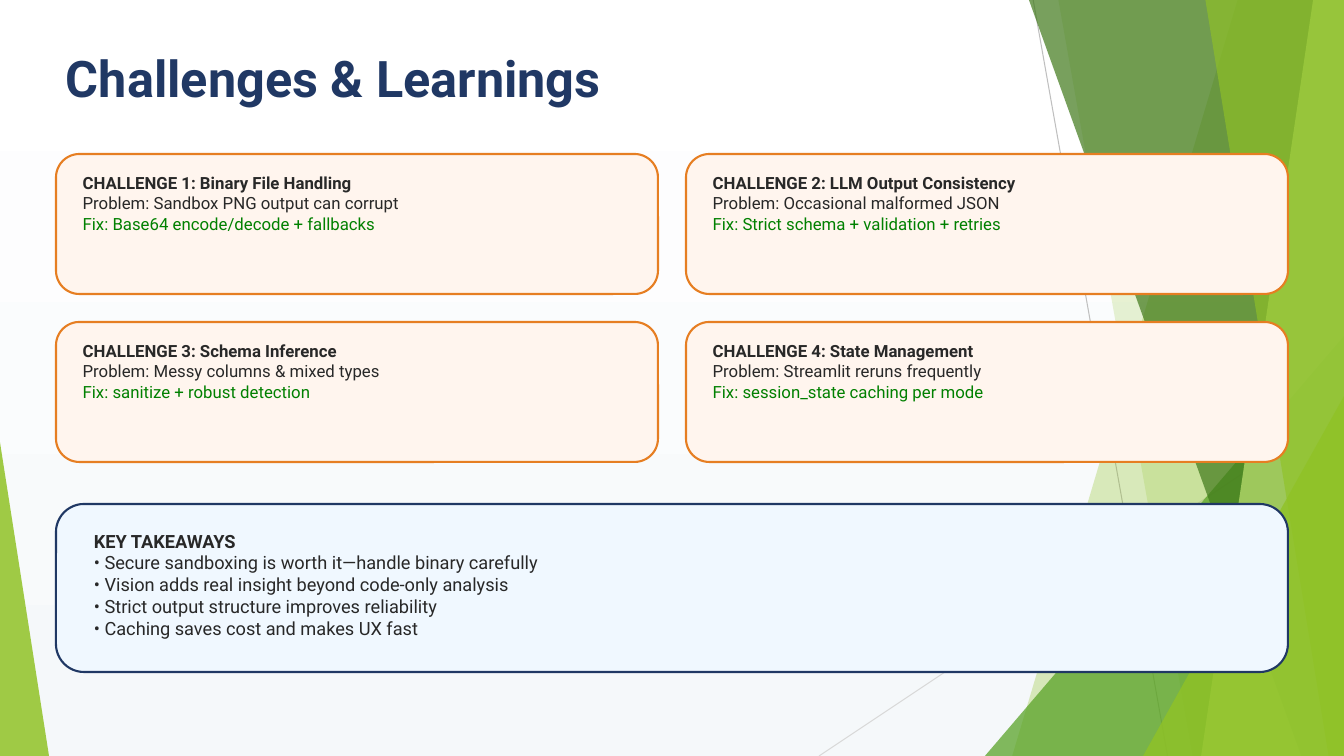
from lxml import etree
from pptx import Presentation
from pptx.dml.color import RGBColor
from pptx.enum.shapes import MSO_CONNECTOR, MSO_SHAPE
from pptx.oxml.ns import qn
from pptx.util import Pt

STRAIGHT = MSO_CONNECTOR.STRAIGHT
ROUNDED = MSO_SHAPE.ROUNDED_RECTANGLE
TRIANGLE = MSO_SHAPE.ISOSCELES_TRIANGLE

WHITE = RGBColor(0xFF, 0xFF, 0xFF)
MIST = RGBColor(0xF5, 0xF8, 0xFA)
NAVY = RGBColor(0x20, 0x38, 0x64)
INK = RGBColor(0x28, 0x28, 0x28)
FIX_GREEN = RGBColor(0x00, 0x80, 0x00)
ORANGE = RGBColor(0xE6, 0x7E, 0x22)
PEACH = RGBColor(0xFF, 0xF5, 0xEE)
ICE = RGBColor(0xF0, 0xF8, 0xFF)
LIME = RGBColor(0x90, 0xC2, 0x26)
LEAF = RGBColor(0x54, 0xA0, 0x21)
FOREST = RGBColor(0x3F, 0x78, 0x19)
PALE_LIME = RGBColor(0xC0, 0xE4, 0x74)
GREY = RGBColor(0xBF, 0xBF, 0xBF)
LIGHT_GREY = RGBColor(0xD9, 0xD9, 0xD9)

WIDTH, HEIGHT = 960, 540
MARGIN = 40
CONTENT_WIDTH = WIDTH - 2 * MARGIN
CARD_WIDTH, CARD_HEIGHT, CARD_GAP = 430, 100, 20
CARDS_TOP = 110

CHALLENGES = [
    ("Binary File Handling", "Sandbox PNG output can corrupt",
     "Base64 encode/decode + fallbacks"),
    ("LLM Output Consistency", "Occasional malformed JSON",
     "Strict schema + validation + retries"),
    ("Schema Inference", "Messy columns & mixed types",
     "sanitize + robust detection"),
    ("State Management", "Streamlit reruns frequently",
     "session_state caching per mode"),
]
TAKEAWAYS = [
    "Secure sandboxing is worth it—handle binary carefully",
    "Vision adds real insight beyond code-only analysis",
    "Strict output structure improves reliability",
    "Caching saves cost and makes UX fast",
]


class Painter:
    font_name = "Roboto"
    border_width = 1.5

    def __init__(self, page):
        self.page = page
        self.shapes = page.shapes

    def background(self, top_color, bottom_color):
        fill = self.page.background.fill
        fill.gradient()
        fill.gradient_angle = 270
        for stop, color, position in zip(
                fill.gradient_stops, (top_color, bottom_color), (0, 1)):
            stop.color.rgb = color
            stop.position = position

    def line(self, start, end, color):
        connector = self.shapes.add_connector(
            STRAIGHT, *(Pt(value) for value in (*start, *end)))
        connector.line.color.rgb = color
        connector.line.width = Pt(0.75)
        properties = connector._element.spPr
        etree.SubElement(properties, qn("a:effectLst"))

    def tint(self, shape, color, opacity):
        shape.shadow.inherit = False
        shape.fill.solid()
        shape.fill.fore_color.rgb = color
        shape.line.fill.background()
        color_node = shape._element.spPr.find(qn("a:solidFill"))[0]
        alpha = etree.SubElement(color_node, qn("a:alpha"))
        alpha.set("val", str(opacity * 1000))

    def facet(self, top_x, bottom_x, color, opacity):
        builder = self.shapes.build_freeform(Pt(top_x), Pt(0))
        builder.add_line_segments([
            (Pt(WIDTH), Pt(0)), (Pt(WIDTH), Pt(HEIGHT)),
            (Pt(bottom_x), Pt(HEIGHT))])
        self.tint(builder.convert_to_shape(), color, opacity)

    def corner(self, left, top, width, apex, color, opacity):
        shape = self.shapes.add_shape(
            TRIANGLE, Pt(left), Pt(top), Pt(width), Pt(HEIGHT - top))
        shape.adjustments[0] = apex
        self.tint(shape, color, opacity)

    def card(self, left, top, width, height, fill_color, border_color):
        shape = self.shapes.add_shape(
            ROUNDED, Pt(left), Pt(top), Pt(width), Pt(height))
        shape.shadow.inherit = False
        shape.fill.solid()
        shape.fill.fore_color.rgb = fill_color
        shape.line.color.rgb = border_color
        shape.line.width = Pt(self.border_width)

    def text(self, left, top, width, height, size, lines):
        box = self.shapes.add_textbox(Pt(left), Pt(top), Pt(width), Pt(height))
        frame = box.text_frame
        frame.word_wrap = True
        for index, (words, color, bold) in enumerate(lines):
            para = frame.add_paragraph() if index else frame.paragraphs[0]
            para.text = words
            para.font.name = self.font_name
            para.font.size = Pt(size)
            para.font.bold = bold
            para.font.color.rgb = color


def draw_backdrop(painter):
    painter.background(WHITE, MIST)
    painter.line((738, 0), (834, HEIGHT), GREY)
    painter.line((WIDTH, 290), (585, HEIGHT), LIGHT_GREY)
    painter.facet(884, 723, LIME, 30)
    painter.facet(756, 852, LIME, 20)
    painter.corner(703.5, 240, 256.5, 1, LEAF, 72)
    painter.facet(735, 929.5, FOREST, 70)
    painter.facet(938, 858, PALE_LIME, 70)
    painter.facet(861, 949, LIME, 65)
    painter.corner(816.5, 283, 143.5, 1, LIME, 80)
    painter.corner(0, 316, 35, 0, LIME, 85)


def draw_challenges(painter):
    for index, (name, problem, fix) in enumerate(CHALLENGES):
        row, column = divmod(index, 2)
        left = MARGIN + column * (CARD_WIDTH + CARD_GAP)
        top = CARDS_TOP + row * (CARD_HEIGHT + CARD_GAP)
        painter.card(left, top, CARD_WIDTH, CARD_HEIGHT, PEACH, ORANGE)
        painter.text(left + 12, top + 10, 405, 51, 12, [
            (f"CHALLENGE {index + 1}: {name}", INK, True),
            (f"Problem: {problem}", INK, False),
            (f"Fix: {fix}", FIX_GREEN, False)])


def draw_takeaways(painter):
    painter.card(MARGIN, 360, CONTENT_WIDTH, 120, ICE, NAVY)
    painter.text(MARGIN + 20, 375, CONTENT_WIDTH - 40, 86, 13, [
        ("KEY TAKEAWAYS", INK, True),
        *((f"• {takeaway}", INK, False) for takeaway in TAKEAWAYS)])


def main():
    deck = Presentation()
    deck.slide_width, deck.slide_height = Pt(WIDTH), Pt(HEIGHT)
    painter = Painter(deck.slides.add_slide(deck.slide_layouts[6]))
    draw_backdrop(painter)
    painter.text(MARGIN, 30, CONTENT_WIDTH, 51, 36,
                 [("Challenges & Learnings", NAVY, True)])
    draw_challenges(painter)
    draw_takeaways(painter)
    deck.save("out.pptx")


if __name__ == "__main__":
    main()
